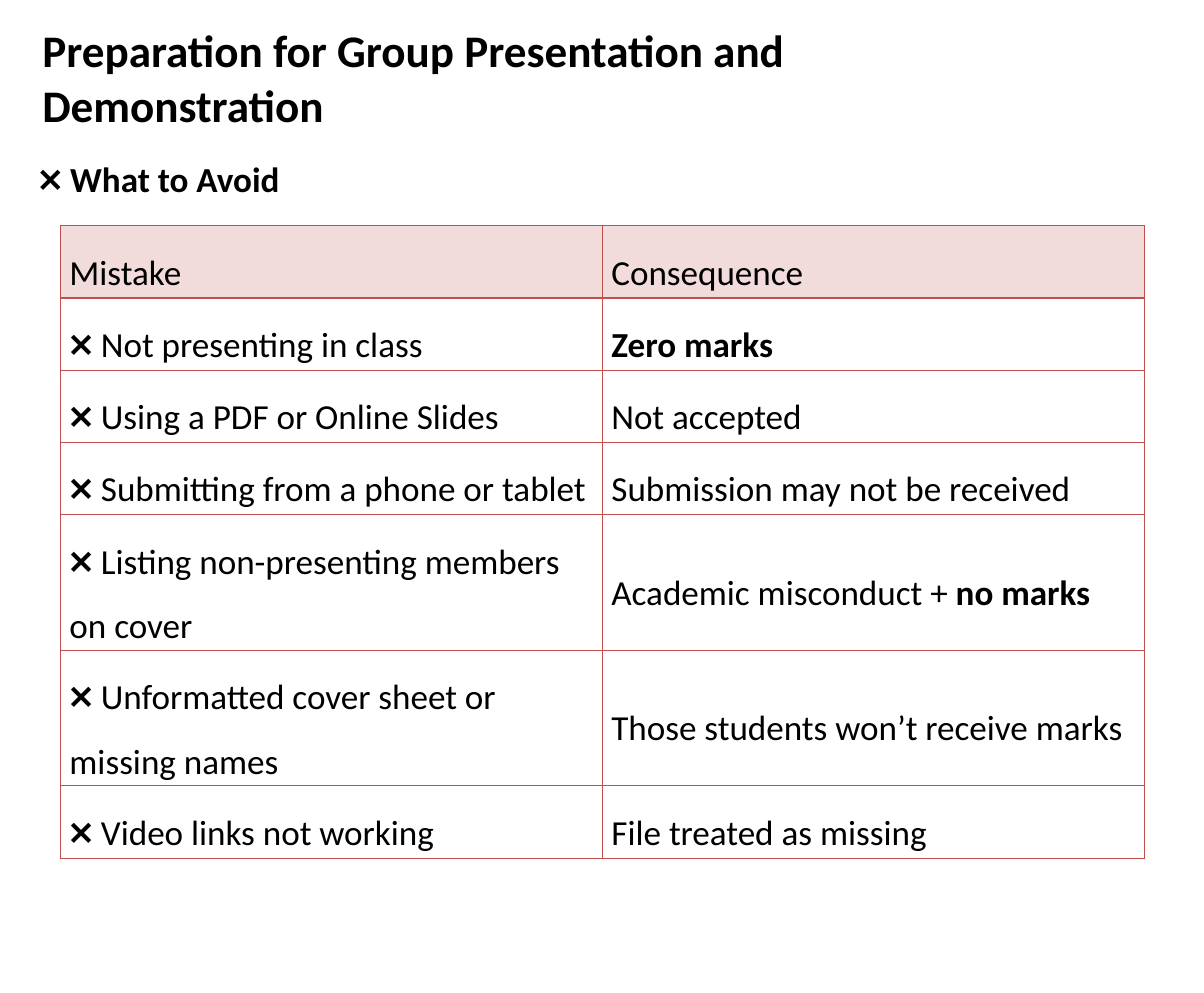
from lxml.etree import SubElement
from pptx import Presentation
from pptx.dml.color import RGBColor
from pptx.enum.text import MSO_ANCHOR, MSO_AUTO_SIZE
from pptx.oxml.ns import qn
from pptx.util import Cm, Pt

BLACK = RGBColor(0x00, 0x00, 0x00)
ROSE = RGBColor(0xF2, 0xDC, 0xDB)
RED = RGBColor(0xC0, 0x50, 0x4D)

SINGLE_ROW, DOUBLE_ROW = 2.03, 3.81
COLUMN_WIDTH = 15.24

# A cell is a list of (text, bold) runs; each row starts with its height
ROWS = [
    (SINGLE_ROW, [("Mistake", False)], [("Consequence", False)]),
    (SINGLE_ROW, [("❌ Not presenting in class", False)], [("Zero marks", True)]),
    (SINGLE_ROW, [("❌ Using a PDF or Online Slides", False)], [("Not accepted", False)]),
    (SINGLE_ROW, [("❌ Submitting from a phone or tablet", False)],
     [("Submission may not be received", False)]),
    (DOUBLE_ROW, [("❌ Listing non-presenting members on cover", False)],
     [("Academic misconduct + ", False), ("no marks", True)]),
    (DOUBLE_ROW, [("❌ Unformatted cover sheet or missing names", False)],
     [("Those students won’t receive marks", False)]),
    (SINGLE_ROW, [("❌ Video links not working", False)], [("File treated as missing", False)]),
]


class SlideBuilder:
    """Holds the style and the current slide."""

    font_name = "Calibri"
    body_size = Pt(28)
    border_width = Pt(1)

    def __init__(self, slide):
        self.slide = slide

    def apply(self, target, values):
        for name, value in values.items():
            setattr(target, name, value)

    def add_text(self, paragraph, text, size, bold):
        run = paragraph.add_run()
        run.text = text
        self.apply(run.font, {"name": self.font_name, "size": size, "bold": bold})
        run.font.color.rgb = BLACK

    def heading(self, text, left, top, width, height, size, frame_format):
        shape = self.slide.shapes.add_textbox(Cm(left), Cm(top), Cm(width), Cm(height))
        self.apply(shape.text_frame,
                   {"auto_size": MSO_AUTO_SIZE.SHAPE_TO_FIT_TEXT, **frame_format})
        self.add_text(shape.text_frame.paragraphs[0], text, size, True)

    def borders(self, cell):
        properties = cell._tc.get_or_add_tcPr()
        for side in ("a:lnL", "a:lnR", "a:lnT", "a:lnB"):
            line = SubElement(properties, qn(side), w=str(self.border_width))
            fill = SubElement(line, qn("a:solidFill"))
            SubElement(fill, qn("a:srgbClr"), val=str(RED))

    def cell(self, cell, runs, is_header):
        self.borders(cell)
        if is_header:
            cell.fill.solid()
            cell.fill.fore_color.rgb = ROSE
        else:
            cell.fill.background()
        cell.vertical_anchor = MSO_ANCHOR.MIDDLE
        paragraph = cell.text_frame.paragraphs[0]
        paragraph.line_spacing = 1.5
        for text, bold in runs:
            self.add_text(paragraph, text, self.body_size, bold)

    def table(self, rows, left, top):
        height = sum(row[0] for row in rows)
        table = self.slide.shapes.add_table(
            len(rows), 2, Cm(left), Cm(top), Cm(2 * COLUMN_WIDTH), Cm(height)).table
        self.apply(table, {"first_row": False, "horz_banding": False})
        for column in table.columns:
            column.width = Cm(COLUMN_WIDTH)
        for row_index, (row_height, *cells) in enumerate(rows):
            table.rows[row_index].height = Cm(row_height)
            for column_index, runs in enumerate(cells):
                self.cell(table.cell(row_index, column_index), runs, row_index == 0)


def main():
    presentation = Presentation()
    presentation.slide_width, presentation.slide_height = Cm(33.86), Cm(27.94)
    builder = SlideBuilder(presentation.slides.add_slide(presentation.slide_layouts[6]))

    # Title
    builder.heading("Preparation for Group Presentation and Demonstration",
                    0.53, 0.58, 28.9, 3.12, Pt(36),
                    {"word_wrap": True, "margin_left": Cm(0.66), "margin_top": Cm(0.06),
                     "margin_right": 0, "margin_bottom": 0})

    # Mistakes and their consequences
    builder.table(ROWS, 1.7, 6.35)

    # Table heading
    builder.heading("❌ What to Avoid", 0.84, 4.29, 8.1, 1.45, builder.body_size,
                    {"word_wrap": False, "vertical_anchor": MSO_ANCHOR.MIDDLE})

    presentation.save("out.pptx")


if __name__ == "__main__":
    main()
